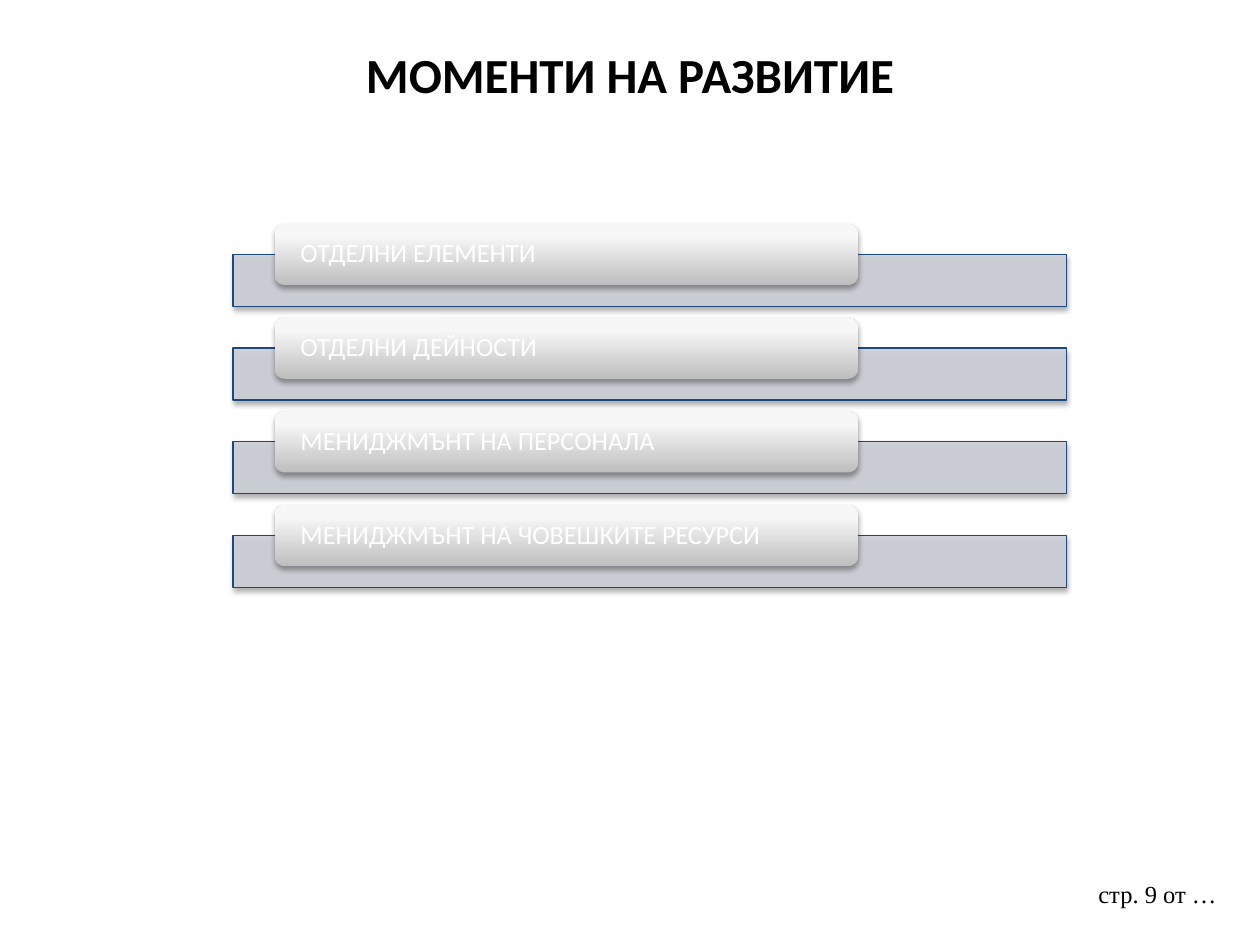
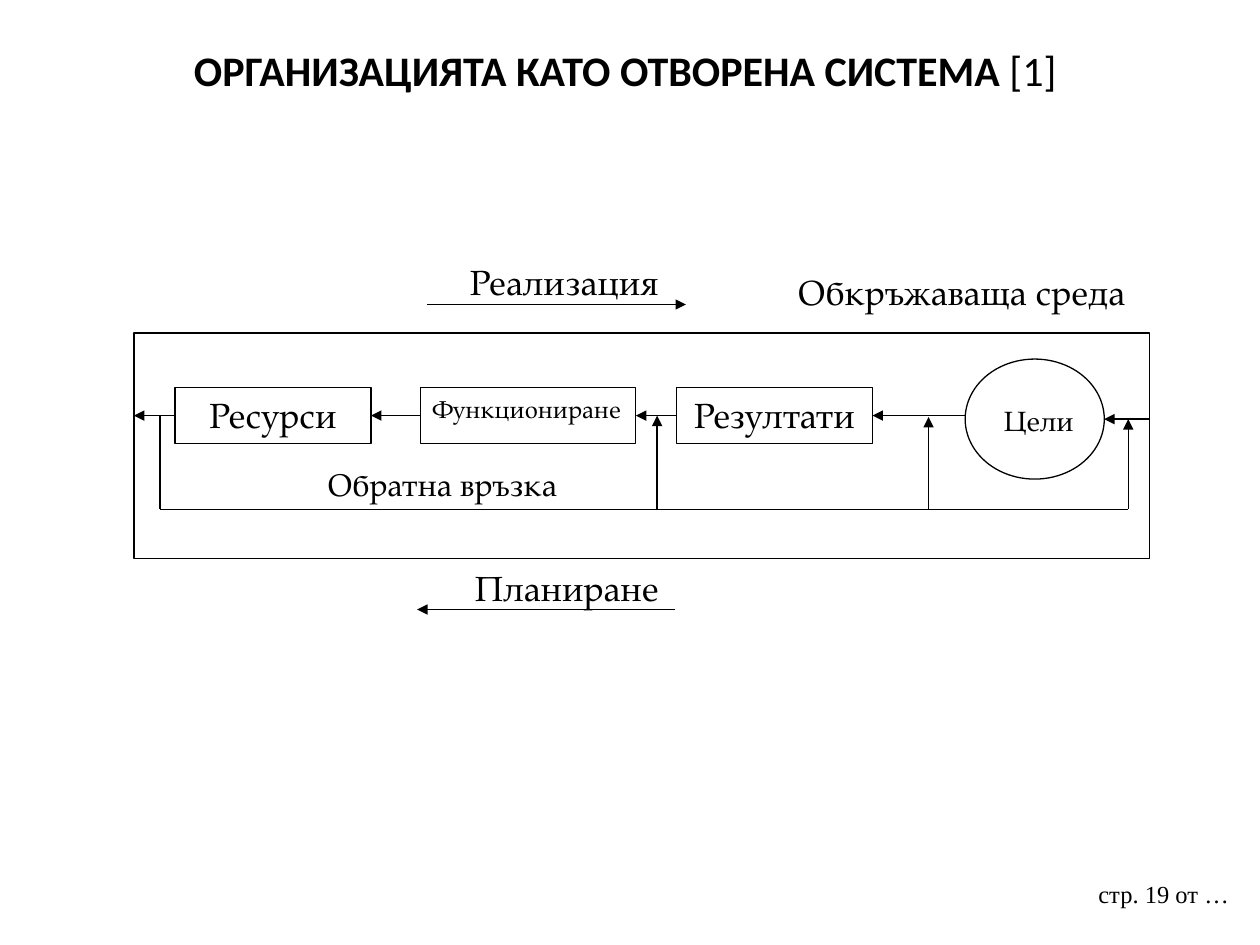
"""Build two slides: stages of growth and the firm as an open system."""
from dataclasses import dataclass
from typing import NamedTuple, Optional

from lxml import etree
from pptx import Presentation
from pptx.dml.color import RGBColor
from pptx.enum.shapes import MSO_CONNECTOR, MSO_SHAPE
from pptx.enum.text import MSO_ANCHOR, PP_ALIGN
from pptx.oxml.ns import qn
from pptx.util import Pt

RECT, ROUND, OVAL = MSO_SHAPE.RECTANGLE, MSO_SHAPE.ROUNDED_RECTANGLE, MSO_SHAPE.OVAL
STRAIGHT = MSO_CONNECTOR.STRAIGHT
LEFT, MID, JUST = PP_ALIGN.LEFT, PP_ALIGN.CENTER, PP_ALIGN.JUSTIFY
TOP, CENTER = MSO_ANCHOR.TOP, MSO_ANCHOR.MIDDLE
WEST, EAST = 1, 3


@dataclass(frozen=True)
class Theme:
    """Colours, fonts and sizes of both slides."""
    black: str = "000000"
    white: str = "FFFFFF"
    navy: str = "1F497D"
    bar: str = "CDD0D7"
    fade: tuple = ((0, "BEBEBE"), (80, "F7F7F7"), (100, "F8F8F8"))
    sans: str = "Calibri"
    serif: str = "TeX Gyre Pagella"
    foot: str = "Times New Roman"
    head: float = 28
    large: float = 20
    note: float = 18
    goal: float = 16
    tab: float = 15
    small: float = 14
    rule: float = 0.75


THEME = Theme()


class Area(NamedTuple):
    """Place and size in points."""
    x: float
    y: float
    w: float
    h: float


class Run(NamedTuple):
    """A piece of text in one style."""
    text: str
    size: float
    font: str = THEME.serif
    color: str = THEME.black
    bold: bool = False


class Label(NamedTuple):
    """Free text with a place."""
    area: Area
    run: Run
    align: PP_ALIGN = MID


class Box(NamedTuple):
    """An outlined shape, with or without text."""
    area: Area
    kind: MSO_SHAPE = RECT
    run: Optional[Run] = None
    align: PP_ALIGN = MID


class Join(NamedTuple):
    """A side of a named box."""
    box: str
    side: int


class Line(NamedTuple):
    """A straight line, with an arrow at its end unless plain."""
    x1: float
    y1: float
    x2: float
    y2: float
    arrow: bool = True
    start: Optional[Join] = None
    end: Optional[Join] = None


TITLE = Area(36, 21.6, 648, 90)
FOOT = Area(620.6, 499, 93.6, 37.4)

STAGES = ("ОТДЕЛНИ ЕЛЕМЕНТИ", "ОТДЕЛНИ ДЕЙНОСТИ",
          "МЕНИДЖМЪНТ НА ПЕРСОНАЛА", "МЕНИДЖМЪНТ НА ЧОВЕШКИТЕ РЕСУРСИ")
BAR = Area(133.2, 145.4, 476.2, 29.7)
TAB = Area(157, 127.9, 333.3, 35)
PITCH = 53.55

ROW, FEED, GOAL = 237.5, 291, 239.5
BOX_Y, BOX_H = ROW - 16, 32
BOXES = {
    "frame": Box(Area(76.5, 190.2, 580.5, 129)),
    "means": Box(Area(100, BOX_Y, 112, BOX_H), run=Run("Ресурси", THEME.large)),
    "work": Box(Area(240.2, BOX_Y, 123.2, BOX_H),
                run=Run("Функциониране", THEME.small), align=LEFT),
    "yield": Box(Area(386.6, BOX_Y, 112, BOX_H), run=Run("Резултати", THEME.large)),
    "goal": Box(Area(551.5, 205.2, 79.5, 68.6), OVAL),
}
LINES = (
    Line(100, ROW, 76.5, ROW, start=Join("means", WEST)),
    Line(240.2, ROW, 212, ROW, start=Join("work", WEST), end=Join("means", EAST)),
    Line(386.6, ROW, 363.4, ROW, start=Join("yield", WEST), end=Join("work", EAST)),
    Line(551.5, ROW, 498.6, ROW, end=Join("yield", EAST)),
    Line(657, GOAL, 631, GOAL),
    Line(91.5, ROW, 91.5, FEED, arrow=False),
    Line(91.5, FEED, 644.7, FEED, arrow=False),
    Line(644.7, FEED, 644.7, GOAL),
    Line(530.6, FEED, 530.6, ROW + 0.8),
    Line(375.5, FEED, 375.5, ROW),
    Line(244, 174, 392, 174),
    Line(386, 348.3, 238.4, 348.3),
)
LABELS = (
    Label(Area(566.6, 226.8, 54.7, 24.5), Run("Цели", THEME.goal), JUST),
    Label(Area(144.7, 262, 216, 24.5), Run("Обратна връзка", THEME.note)),
    Label(Area(214.5, 145.4, 216, 24.5), Run("Реализация", THEME.large)),
    Label(Area(441.4, 151.2, 216, 24.5), Run("Обкръжаваща среда", THEME.large)),
    Label(Area(216, 320.4, 216, 24.5), Run("Планиране", THEME.large)),
)


def rgb(code: str) -> RGBColor:
    """Turn a hex code into a colour."""
    return RGBColor.from_string(code)


def pts(area: Area) -> tuple:
    """Turn an area into lengths."""
    return tuple(Pt(v) for v in area)


def write(shape, runs: tuple, align: PP_ALIGN = LEFT, anchor=TOP):
    """Put runs in one paragraph of a shape."""
    frame = shape.text_frame
    frame.word_wrap = True
    frame.vertical_anchor = anchor
    para = frame.paragraphs[0]
    para.alignment = align
    for item in runs:
        run = para.add_run()
        run.text = item.text
        font = run.font
        font.name, font.size, font.bold = item.font, Pt(item.size), item.bold
        font.color.rgb = rgb(item.color)
    return frame


def label(slide, area: Area, runs: tuple, align: PP_ALIGN = LEFT) -> None:
    """Add a text box."""
    write(slide.shapes.add_textbox(*pts(area)), runs, align)


def shape(slide, kind: MSO_SHAPE, area: Area, fill: str, edge: Optional[str]):
    """Add a flat shape."""
    item = slide.shapes.add_shape(kind, *pts(area))
    item.fill.solid()
    item.fill.fore_color.rgb = rgb(fill)
    if edge:
        item.line.color.rgb = rgb(edge)
        item.line.width = Pt(THEME.rule)
    else:
        item.line.fill.background()
    item.shadow.inherit = False
    return item


def shade(item) -> None:
    """Cast a soft shadow straight down."""
    root = item._element.spPr.find(qn("a:effectLst"))
    cast = etree.SubElement(root, qn("a:outerShdw"), blurRad=str(Pt(3.1)),
                            dist=str(Pt(1.8)), dir="5400000", rotWithShape="0")
    tint = etree.SubElement(cast, qn("a:srgbClr"), val=THEME.black)
    etree.SubElement(tint, qn("a:alpha"), val="35000")


def fade(item) -> None:
    """Fill a shape with the theme's upward gradient."""
    item.fill.gradient()
    item.fill.gradient_angle = 90
    stops = item._element.spPr.find(".//" + qn("a:gsLst"))
    for old in list(stops):
        stops.remove(old)
    for spot, code in THEME.fade:
        stop = etree.SubElement(stops, qn("a:gs"), pos=str(spot * 1000))
        etree.SubElement(stop, qn("a:srgbClr"), val=code)


def link(slide, line: Line, made: dict) -> None:
    """Draw a line and join it to its boxes."""
    item = slide.shapes.add_connector(
        STRAIGHT, Pt(line.x1), Pt(line.y1), Pt(line.x2), Pt(line.y2))
    item.line.color.rgb = rgb(THEME.black)
    item.line.width = Pt(THEME.rule)
    root = item._element.spPr
    if line.arrow:
        etree.SubElement(root.find(qn("a:ln")), qn("a:tailEnd"), type="triangle")
    etree.SubElement(root, qn("a:effectLst"))
    if line.start:
        item.begin_connect(made[line.start.box], line.start.side)
    if line.end:
        item.end_connect(made[line.end.box], line.end.side)


def page(deck, number: int, *title: Run):
    """Add a slide with its page mark and title."""
    slide = deck.slides.add_slide(deck.slide_layouts[6])
    label(slide, FOOT, (Run(f"стр. {number} от …", THEME.small, THEME.foot),))
    label(slide, TITLE, title, MID)
    return slide


def stage(slide, text: str, shift: float) -> None:
    """Draw one stage: a bar with a tab upon it."""
    bar = shape(slide, RECT, BAR._replace(y=BAR.y + shift), THEME.bar, THEME.navy)
    tint = bar._element.spPr.find(qn("a:solidFill")).find(qn("a:srgbClr"))
    etree.SubElement(tint, qn("a:alpha"), val="90000")
    shade(bar)
    tab = shape(slide, ROUND, TAB._replace(y=TAB.y + shift), THEME.white, None)
    fade(tab)
    shade(tab)
    run = Run(text, THEME.tab, THEME.sans, THEME.white)
    frame = write(tab, (run,), anchor=CENTER)
    frame.margin_left = frame.margin_right = Pt(13)
    frame.margin_top = frame.margin_bottom = Pt(0)
    frame.paragraphs[0].line_spacing = 0.9


def growth(deck) -> None:
    """Build the slide of stages."""
    slide = page(deck, 9, Run("МОМЕНТИ НА РАЗВИТИЕ", THEME.head, THEME.sans, bold=True))
    for i, text in enumerate(STAGES):
        stage(slide, text, i * PITCH)


def system(deck) -> None:
    """Build the slide of the open system."""
    size = 24
    slide = page(deck, 19,
                 Run("ОРГАНИЗАЦИЯТА КАТО ОТВОРЕНА СИСТЕМА ", size, THEME.sans, bold=True),
                 Run("[1] ", size, THEME.sans))
    made = {}
    for name, box in BOXES.items():
        made[name] = shape(slide, box.kind, box.area, THEME.white, THEME.black)
        if box.run:
            write(made[name], (box.run,), box.align)
    for line in LINES:
        link(slide, line, made)
    for note in LABELS:
        label(slide, note.area, (note.run,), note.align)


def main() -> None:
    """Build and save the deck."""
    deck = Presentation()
    deck.slide_width, deck.slide_height = Pt(720), Pt(540)
    growth(deck)
    system(deck)
    deck.save("out.pptx")


if __name__ == "__main__":
    main()
